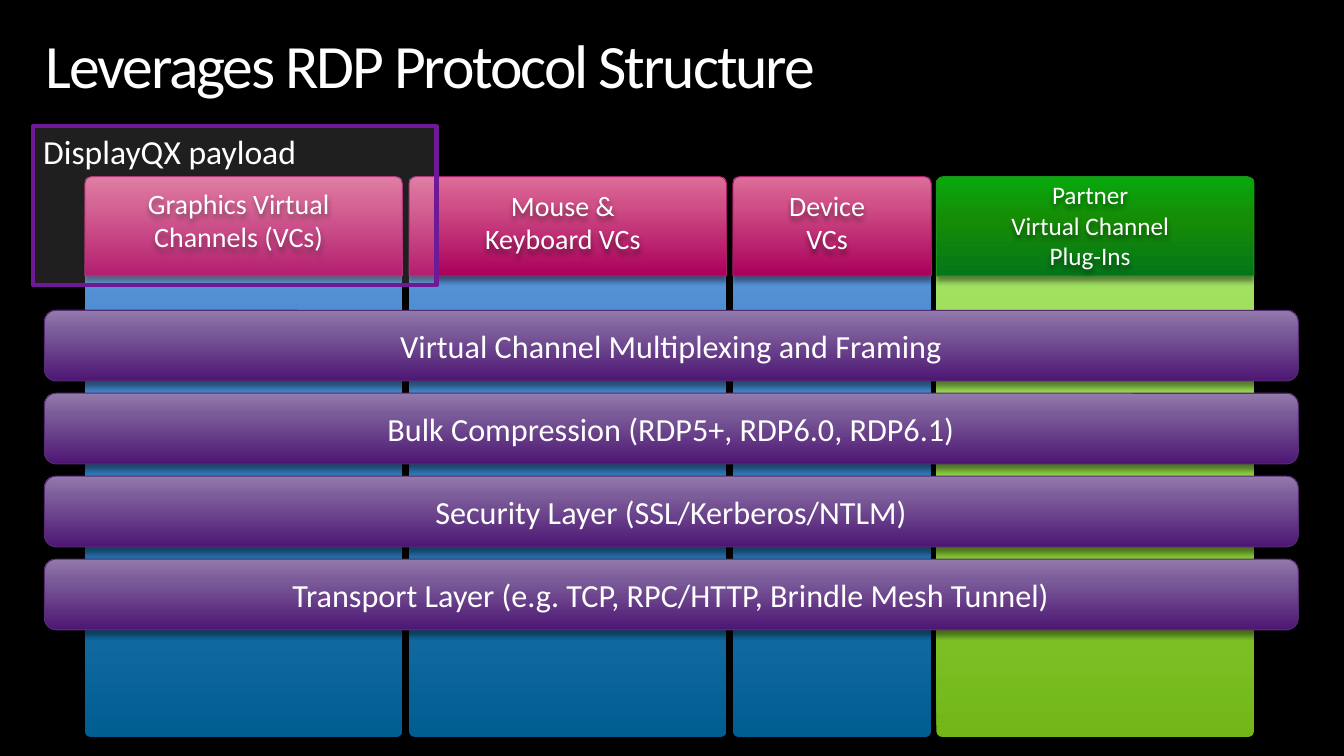
import copy
import pptx
import pptx.util
import pptx.dml.color
import pptx.enum.shapes
import pptx.enum.text
import pptx.oxml
import pptx.oxml.ns

Cm = pptx.util.Cm
Pt = pptx.util.Pt
RGB = pptx.dml.color.RGBColor.from_string
qn = pptx.oxml.ns.qn
PRESET = pptx.enum.shapes.MSO_SHAPE
ALIGN = pptx.enum.text.PP_ALIGN
ANCHOR = pptx.enum.text.MSO_ANCHOR

COLORS = {
    "background": "000000",
    "text": "FFFFFF",
    "payload_line": "701997",
    "channel_line": "A61E67",
    "partner_line": "199319",
    "layer_line": "552B72",
}
GRADIENTS = {
    "blue": [(0, "005E91"), (0.72, "4C8CD2"), (1, "6A9DDD")],
    "lime": [(0, "72B717"), (0.72, "9DDE5A"), (1, "ABE872")],
    "channel": [(0, "AA005C"), (0.72, "D05087"), (1, "DC6D98")],
    "partner": [(0, "04761A"), (0.55, "168C06"), (1, "08A80C")],
    "layer": [(0, "4D1673"), (0.72, "7C5D9A"), (1, "937AAC")],
}
SHADOW = (
    '<a:effectLst xmlns:a="http://schemas.openxmlformats.org/drawingml/2006/main">'
    '<a:outerShdw blurRad="50800" dist="38100" dir="5400000" algn="t" rotWithShape="0">'
    '<a:srgbClr val="000000"><a:alpha val="43000"/></a:srgbClr>'
    "</a:outerShdw></a:effectLst>"
)

deck = pptx.Presentation()
deck.slide_width, deck.slide_height = Cm(33.87), Cm(19.05)
slide = deck.slides.add_slide(deck.slide_layouts[6])
slide.background.fill.solid()
slide.background.fill.fore_color.rgb = RGB(COLORS["background"])


def add_block(preset, left, top, width, height, gradient=None, line=None, radius=None, shadow=True):
    block = slide.shapes.add_shape(preset, Cm(left), Cm(top), Cm(width), Cm(height))
    block.shadow.inherit = False
    if radius:
        block.adjustments[0] = radius / min(width, height)
    if gradient:
        block.fill.gradient()
        block.fill.gradient_angle = 90
        stop_list = block._element.spPr.find(".//" + qn("a:gsLst"))
        stop_list.append(copy.deepcopy(stop_list[0]))
        for stop, (position, color) in zip(block.fill.gradient_stops, GRADIENTS[gradient]):
            stop.position = position
            stop.color.rgb = RGB(color)
    else:
        block.fill.background()
    if line:
        block.line.color.rgb = RGB(COLORS[line])
        block.line.width = Pt(0.75)
    else:
        block.line.fill.background()
    if shadow:
        effects = block._element.spPr.find(qn("a:effectLst"))
        effects.getparent().replace(effects, pptx.oxml.parse_xml(SHADOW))
    return block


def write(block, text, size=20, align=ALIGN.CENTER, anchor=ANCHOR.MIDDLE, margins=None, line_spacing=None, tracking=None):
    frame = block.text_frame
    frame.word_wrap = True
    frame.vertical_anchor = anchor
    if margins is not None:
        frame.margin_left = frame.margin_right = frame.margin_top = frame.margin_bottom = Cm(margins)
    frame.text = text
    for paragraph in frame.paragraphs:
        paragraph.alignment = align
        if line_spacing:
            paragraph.line_spacing = line_spacing
        for run in paragraph.runs:
            run.font.size = Pt(size)
            run.font.name = "Calibri"
            run.font.color.rgb = RGB(COLORS["text"])
            if tracking:
                run._r.get_or_add_rPr().set("spc", str(tracking))


title = slide.shapes.add_textbox(Cm(1.14), Cm(0.89), Cm(32.5), Cm(1.7))
write(title, "Leverages RDP Protocol Structure", size=44, align=ALIGN.LEFT,
      anchor=ANCHOR.TOP, margins=0, line_spacing=0.9, tracking=-150)

channels = [
    (2.14, 8, "blue", "channel", "Graphics Virtual Channels (VCs)", 4.14, 20),
    (10.31, 8, "blue", "channel", "Mouse &\vKeyboard VCs", 4.19, 20),
    (18.47, 5, "blue", "channel", "Device\nVCs", 4.19, 20),
    (23.6, 8, "lime", "partner", "Partner\nVirtual Channel\nPlug-Ins", 4.27, 18),
]
for left, width, column_fill, header_fill, label, label_top, size in channels:
    add_block(PRESET.ROUNDED_RECTANGLE, left, 4.47, width, 14.1, column_fill, radius=0.14)
    add_block(PRESET.ROUND_2_SAME_RECTANGLE, left, 4.45, width, 2.5,
              header_fill, header_fill + "_line", radius=0.18)
    caption = add_block(PRESET.ROUNDED_RECTANGLE, left, label_top, width - 0.25, 2.8)
    write(caption, label, size=size)

layers = [
    "Virtual Channel Multiplexing and Framing",
    "Bulk Compression (RDP5+, RDP6.0, RDP6.1)",
    "Security Layer (SSL/Kerberos/NTLM)",
    "Transport Layer (e.g. TCP, RPC/HTTP, Brindle Mesh Tunnel)",
]
for row, layer_name in enumerate(layers):
    layer = add_block(PRESET.ROUNDED_RECTANGLE, 1.12, 7.82 + row * 2.09, 31.6, 1.78,
                      "layer", "layer_line")
    write(layer, layer_name, size=23)

payload = add_block(PRESET.RECTANGLE, 0.84, 3.18, 10.16, 4.01, line="payload_line", shadow=False)
payload.line.width = Pt(3)
payload.fill.solid()
payload.fill.fore_color.rgb = RGB(COLORS["text"])
tint = payload._element.spPr.find(qn("a:solidFill"))[0]
tint.append(tint.makeelement(qn("a:alpha"), {"val": "12000"}))
write(payload, "DisplayQX payload", size=24, align=ALIGN.LEFT, anchor=ANCHOR.TOP)

deck.save("out.pptx")
